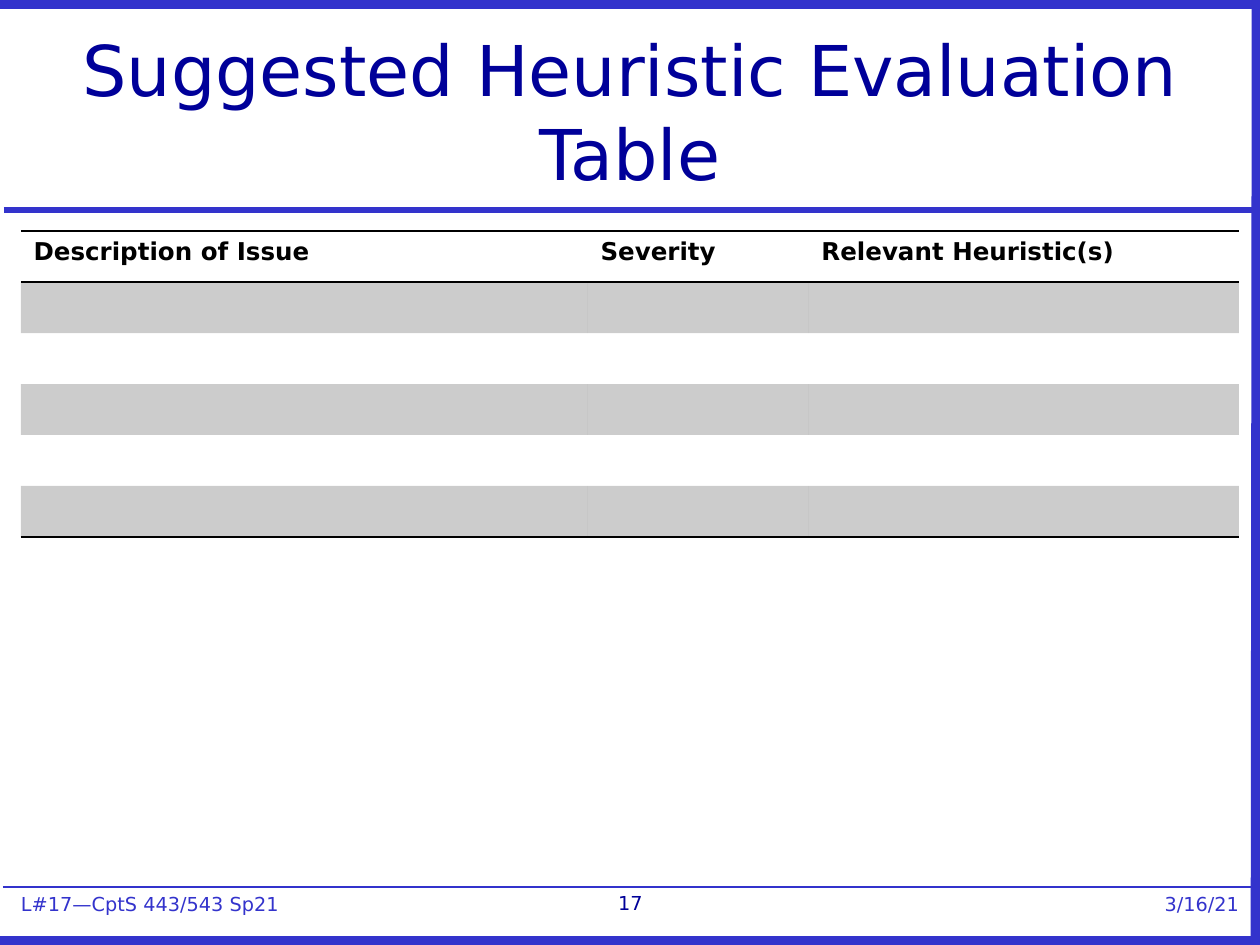
from dataclasses import dataclass

from lxml import etree
from pptx import Presentation
from pptx.dml import color
from pptx.enum import shapes, text
from pptx.oxml import ns
from pptx.util import Emu, Pt

PX = 914400 // 126
FONT = "DejaVu Sans"
BLUE, NAVY, BLACK, WHITE = "3333CC", "000099", "000000", "FFFFFF"
NO_STYLE = "{2D5ABB26-0587-4C30-8999-92F81FD0307C}"
LEFT, CENTER, RIGHT = text.PP_ALIGN.LEFT, text.PP_ALIGN.CENTER, text.PP_ALIGN.RIGHT


@dataclass
class Rule:
    x1: int
    y1: int
    x2: int
    y2: int
    weight: int


@dataclass
class Label:
    words: str
    x: int
    y: int
    width: int
    height: int
    size: int
    colour: str
    align: text.PP_ALIGN


RULES = [
    Rule(4, 210, 1256, 210, 3),
    Rule(-1, 4, 1257, 4, 6),
    Rule(-1, 941, 1257, 941, 6),
    Rule(1256, 946, 1257, 0, 6),
    Rule(3, 887, 1254, 887, 1),
]
FOOTERS = [
    Label("L#17—CptS 443/543 Sp21", 21, 892, 315, 23, 11, BLUE, LEFT),
    Label("3/16/21", 945, 892, 294, 23, 11, BLUE, RIGHT),
]
TITLE = Label("Suggested Heuristic Evaluation Table", 21, 21, 1218, 179, 40, NAVY, CENTER)
PAGE_NUMBER = Label("17", 32, 885, 1197, 21, 11, NAVY, CENTER)

COLUMNS = {"Description of Issue": 567, "Severity": 221, "Relevant Heuristic(s)": 430}
ROW_COUNT, ROW_HEIGHT = 6, 51


def px(*lengths: int) -> list[Emu]:
    return [Emu(length * PX) for length in lengths]


def rgb(colour: str) -> color.RGBColor:
    return color.RGBColor.from_string(colour)


def add_run(paragraph, words: str, size: int, colour: str, bold: bool = False) -> None:
    run = paragraph.add_run()
    run.text = words
    run.font.name = FONT
    run.font.size = Pt(size)
    run.font.bold = bold
    run.font.color.rgb = rgb(colour)


def fill_label(frame, label: Label) -> None:
    frame.word_wrap = True
    paragraph = frame.paragraphs[0]
    paragraph.alignment = label.align
    add_run(paragraph, label.words, label.size, label.colour)


def draw_rule(slide, rule: Rule) -> None:
    line = slide.shapes.add_connector(
        shapes.MSO_CONNECTOR.STRAIGHT, *px(rule.x1, rule.y1, rule.x2, rule.y2))
    line.line.color.rgb = rgb(BLUE)
    line.line.width = Pt(rule.weight)
    etree.SubElement(line._element.spPr, ns.qn("a:effectLst"))


def draw_footer(slide, label: Label) -> None:
    box = slide.shapes.add_shape(
        shapes.MSO_SHAPE.RECTANGLE, *px(label.x, label.y, label.width, label.height))
    box.shadow.inherit = False
    box.fill.solid()
    box.fill.fore_color.rgb = rgb(WHITE)
    box.line.fill.background()
    frame = box.text_frame
    frame.margin_left = frame.margin_top = frame.margin_right = frame.margin_bottom = 0
    frame.vertical_anchor = text.MSO_ANCHOR.TOP
    fill_label(frame, label)


def draw_text(slide, label: Label, anchor: text.MSO_ANCHOR) -> None:
    box = slide.shapes.add_textbox(*px(label.x, label.y, label.width, label.height))
    box.text_frame.vertical_anchor = anchor
    fill_label(box.text_frame, label)


def shade(cell) -> None:
    """Fill the cell with black at 20% opacity."""
    cell.fill.solid()
    cell.fill.fore_color.rgb = rgb(BLACK)
    tint = cell._tc.tcPr.find(".//" + ns.qn("a:srgbClr"))
    etree.SubElement(tint, ns.qn("a:alpha"), val="20000")


def add_borders(cell, *edges: str) -> None:
    """Draw 1 pt black edges, named in schema order and placed before the fill."""
    for index, edge in enumerate(edges):
        line = etree.Element(ns.qn(f"a:{edge}"), w=str(Pt(1)))
        paint = etree.SubElement(line, ns.qn("a:solidFill"))
        etree.SubElement(paint, ns.qn("a:srgbClr"), val=BLACK)
        cell._tc.get_or_add_tcPr().insert(index, line)


def draw_issue_table(slide) -> None:
    width, height = sum(COLUMNS.values()), ROW_COUNT * ROW_HEIGHT
    table = slide.shapes.add_table(
        ROW_COUNT, len(COLUMNS), *px(21, 231, width, height)).table
    table.first_row = table.horz_banding = False
    table._tbl.tblPr.find(ns.qn("a:tableStyleId")).text = NO_STYLE
    for row in table.rows:
        row.height = px(ROW_HEIGHT)[0]
    for c, (heading, column_width) in enumerate(COLUMNS.items()):
        table.columns[c].width = px(column_width)[0]
        for r in range(ROW_COUNT):
            cell = table.cell(r, c)
            if r % 2:
                shade(cell)
            else:
                cell.fill.background()
        header = table.cell(0, c)
        add_run(header.text_frame.paragraphs[0], heading, 14, BLACK, bold=True)
        add_borders(header, "lnT", "lnB")
        add_borders(table.cell(ROW_COUNT - 1, c), "lnB")


def main() -> None:
    deck = Presentation()
    deck.slide_width, deck.slide_height = px(1260, 945)
    slide = deck.slides.add_slide(deck.slide_layouts[6])
    for footer in FOOTERS:
        draw_footer(slide, footer)
    for rule in RULES:
        draw_rule(slide, rule)
    draw_text(slide, TITLE, text.MSO_ANCHOR.MIDDLE)
    draw_issue_table(slide)
    draw_text(slide, PAGE_NUMBER, text.MSO_ANCHOR.TOP)
    deck.save("out.pptx")


if __name__ == "__main__":
    main()
